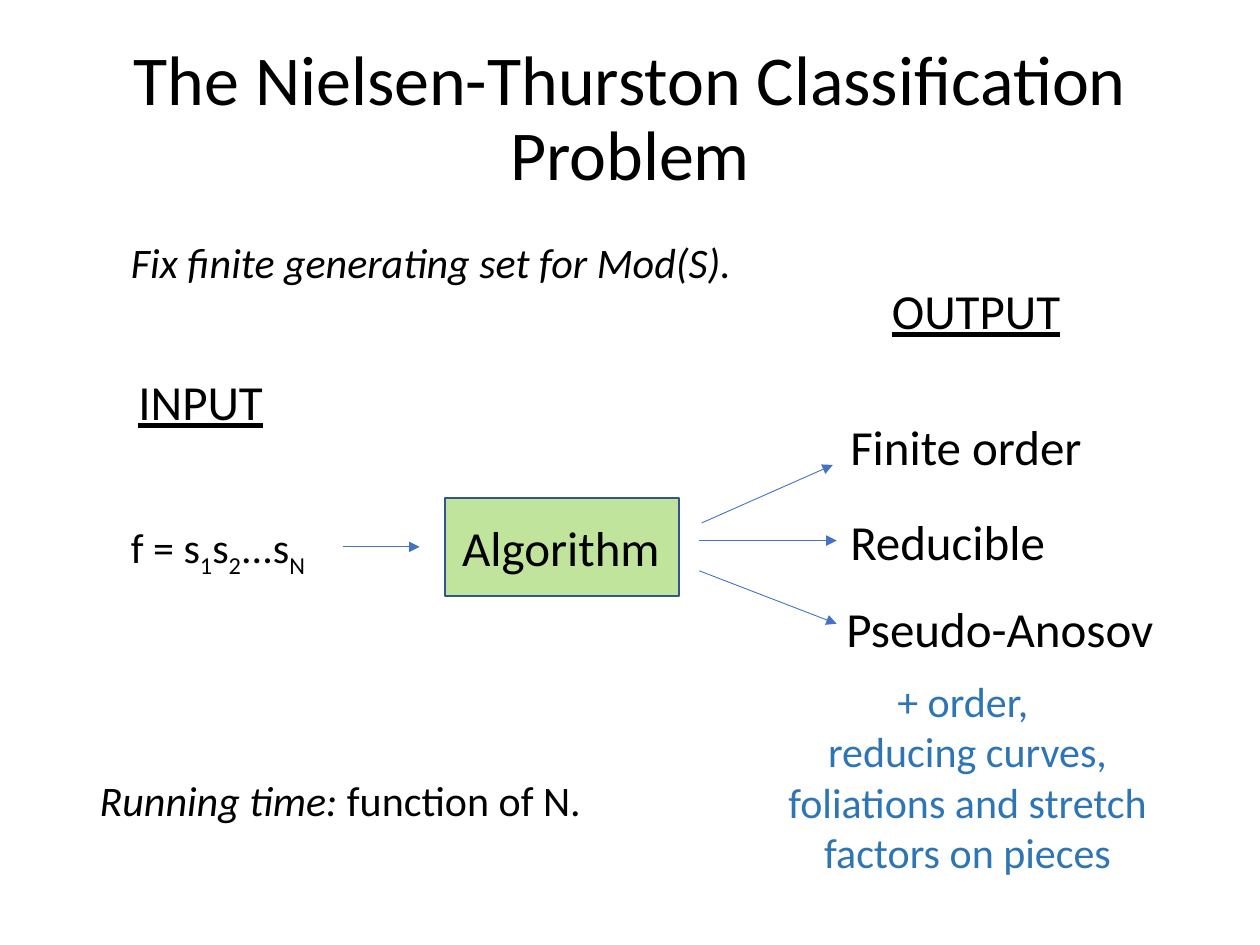
import pptx
import pptx.dml.color
import pptx.enum.shapes
import pptx.enum.text
import pptx.oxml
import pptx.oxml.ns
import pptx.util
from lxml import etree

Pt = pptx.util.Pt
ALIGN = pptx.enum.text.PP_ALIGN
ANCHOR = pptx.enum.text.MSO_ANCHOR
FIT = pptx.enum.text.MSO_AUTO_SIZE
FONT = "Calibri"
COLORS = {
    "text": "000000",
    "details": "2E75B6",
    "algorithm": "92D050",
    "border": "325491",
    "arrow": "4472C4",
}


def color(name):
    return pptx.dml.color.RGBColor.from_string(COLORS[name])


def add_element(parent, tag, **attributes):
    return etree.SubElement(parent, pptx.oxml.ns.qn(tag), attributes)


def add_span(para, text, size=28, fill="text", italic=False, underline=False, subscript=False):
    span = para.add_run()
    span.text = text
    font = span.font
    font.name = FONT
    font.size = Pt(size)
    font.italic = italic
    font.underline = underline
    font.color.rgb = color(fill)
    if subscript:
        font._element.set("baseline", "-25000")


def add_label(page, text, left, top, width, height=41, align=ALIGN.LEFT, wrap=False, **style):
    box = page.shapes.add_textbox(Pt(left), Pt(top), Pt(width), Pt(height))
    frame = box.text_frame
    frame.word_wrap = wrap
    frame.auto_size = FIT.SHAPE_TO_FIT_TEXT
    for index, line in enumerate(text.split("\n")):
        para = frame.add_paragraph() if index else frame.paragraphs[0]
        para.alignment = align
        if line:
            add_span(para, line, **style)
    return box


def place_placeholder(holder, left, top, width, height, anchor, align, spacing):
    holder.left, holder.top = Pt(left), Pt(top)
    holder.width, holder.height = Pt(width), Pt(height)
    frame = holder.text_frame
    frame.auto_size = FIT.NONE
    frame.word_wrap = True
    frame.vertical_anchor = anchor
    para = frame.paragraphs[0]
    para.alignment = align
    para.line_spacing = spacing
    para.space_before = Pt(0)
    return para


def add_arrow(page, start, end):
    arrow = page.shapes.add_connector(
        pptx.enum.shapes.MSO_CONNECTOR.STRAIGHT, *(Pt(value) for value in start + end)
    )
    arrow.line.color.rgb = color("arrow")
    arrow.line.width = Pt(0.5)
    add_element(arrow.line._get_or_add_ln(), "a:tailEnd", type="triangle")
    add_element(arrow._element.spPr, "a:effectLst")


def add_algorithm(page):
    block = page.shapes.add_shape(
        pptx.enum.shapes.MSO_SHAPE.RECTANGLE, Pt(254.2), Pt(284.4), Pt(133.9), Pt(56.2)
    )
    block.shadow.inherit = False
    block.fill.solid()
    block.fill.fore_color.rgb = color("algorithm")
    tint = block._element.spPr.find(".//" + pptx.oxml.ns.qn("a:srgbClr"))
    add_element(tint, "a:alpha", val="56000")
    block.line.color.rgb = color("border")
    block.line.width = Pt(1)
    add_label(page, "Algorithm", 257, 292.3, 128.9)


def add_title(page):
    para = place_placeholder(
        page.shapes.title, 49.7, 16.6, 620.6, 104.4, ANCHOR.MIDDLE, ALIGN.CENTER, 0.9
    )
    add_span(para, "The Nielsen-Thurston Classification Problem", size=40)


def add_running_time(page):
    para = place_placeholder(
        page.placeholders[1], 49.7, 439.2, 620.6, 51.8, ANCHOR.TOP, ALIGN.LEFT, 1.0
    )
    properties = para._p.get_or_add_pPr()
    properties.set("marL", "0")
    properties.set("indent", "0")
    add_element(properties, "a:buNone")
    add_span(para, "Running time: ", size=24, italic=True)
    add_span(para, "function of N.", size=24)


def add_word(page):
    box = add_label(page, "", 67.7, 294.5, 185, 36, wrap=True)
    para = box.text_frame.paragraphs[0]
    for base, index in (("f = s", "1"), ("s", "2"), ("...s", "N")):
        add_span(para, base, size=24)
        add_span(para, index, size=24, subscript=True)


def main():
    deck = pptx.Presentation()
    deck.slide_width, deck.slide_height = Pt(720), Pt(540)
    page = deck.slides.add_slide(deck.slide_layouts[1])

    add_title(page)
    add_running_time(page)
    add_label(page, "INPUT", 72, 208.8, 86.4, underline=True)
    add_label(page, "OUTPUT", 502.6, 157, 111.6, underline=True)
    add_algorithm(page)

    for start, end in (
        ((195.8, 312.5), (239.8, 312.5)),
        ((401, 298.8), (475.9, 265.7)),
        ((399.6, 308.9), (478.1, 308.9)),
        ((399.6, 326.2), (478.1, 356.4)),
    ):
        add_arrow(page, start, end)

    for outcome, left, top, width in (
        ("Finite order", 478.8, 234.7, 148.3),
        ("Reducible", 478.8, 288.7, 126.7),
        ("Pseudo-Anosov", 476.6, 338.4, 192.2),
    ):
        add_label(page, outcome, left, top, width)

    add_label(
        page, "+ order, \nreducing curves, foliations and stretch factors on pieces",
        439.2, 382.3, 227.5, 123.8, align=ALIGN.CENTER, wrap=True, size=24, fill="details",
    )
    add_word(page)
    add_label(
        page, "Fix finite generating set for Mod(S).", 67.7, 131.8, 361.4, 36, size=24, italic=True
    )
    deck.save("out.pptx")


if __name__ == "__main__":
    main()
